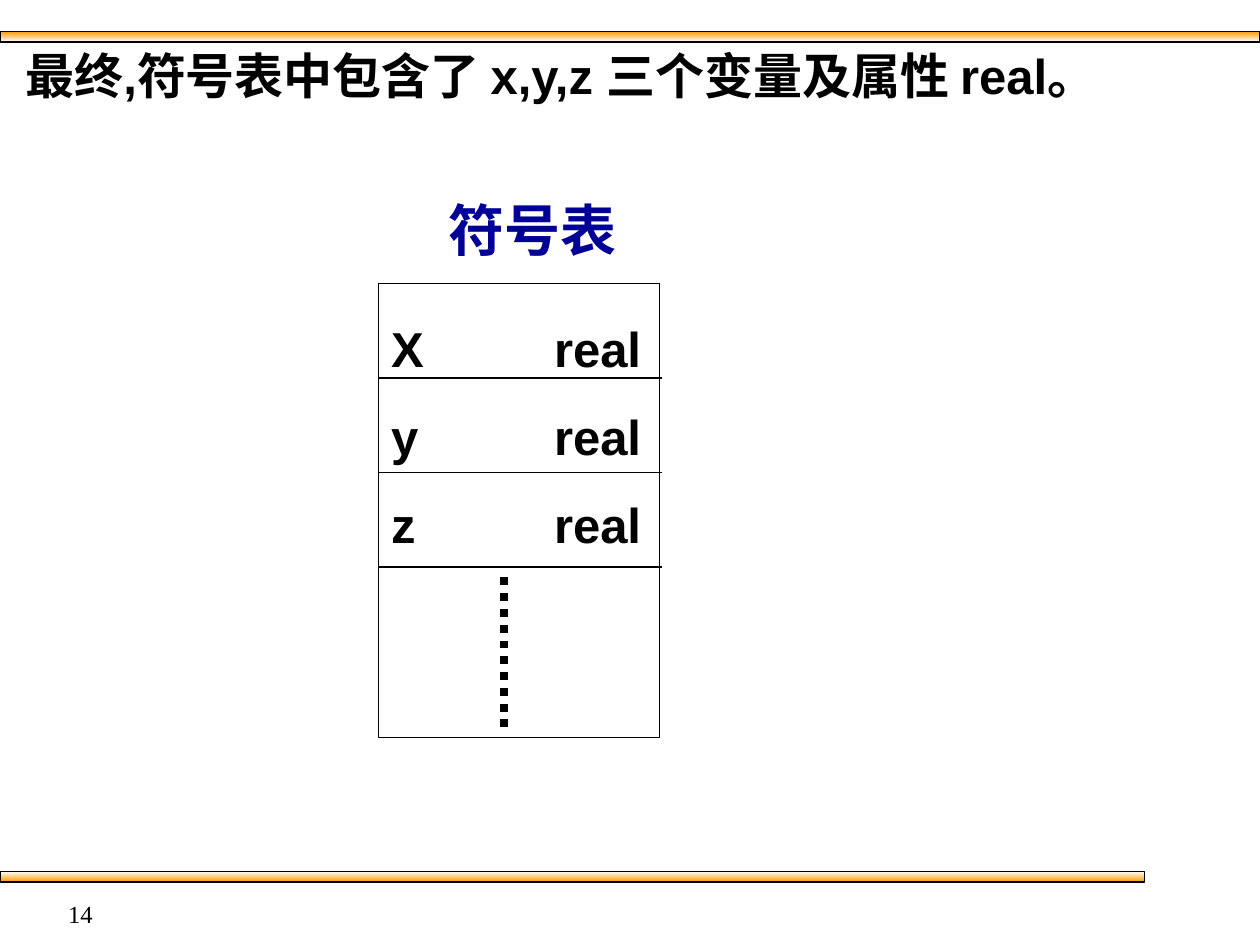
from lxml import etree
from pptx import Presentation
from pptx.dml.color import RGBColor
from pptx.enum.dml import MSO_LINE
from pptx.enum.shapes import MSO_CONNECTOR, MSO_SHAPE
from pptx.enum.text import MSO_ANCHOR, PP_ALIGN
from pptx.oxml.ns import qn
from pptx.util import Pt

RECTANGLE = MSO_SHAPE.RECTANGLE
STRAIGHT = MSO_CONNECTOR.STRAIGHT
DOTTED = MSO_LINE.ROUND_DOT
TOP = MSO_ANCHOR.TOP
LEFT, RIGHT = PP_ALIGN.LEFT, PP_ALIGN.RIGHT

BLACK, BLUE, ORANGE, WHITE = "000000", "000099", "FF9900", "FFFFFF"

TITLE = "最终,符号表中包含了 x,y,z 三个变量及属性 real。"
HEADING = "符号表"
SYMBOLS = [("X", "real"), ("y", "real"), ("z", "real")]
PAGE_NUMBER = "14"
BARS = [(18, 720, ORANGE, WHITE), (498, 654, WHITE, ORANGE)]

TABLE_LEFT, TABLE_TOP, TABLE_WIDTH, TABLE_HEIGHT = 216.5, 162, 160.5, 259.5
RULE_LEFT, RULE_RIGHT, ROW_HEIGHT = 216, 378, 54
TYPE_TAB, SYMBOL_SPACING = 93, 50.3
DOTS_X, DOTS_TOP, DOTS_BOTTOM = 288, 330, 420


def color(value):
    return RGBColor.from_string(value)


def set_outline(shape):
    shape.shadow.inherit = False
    shape.line.color.rgb = color(BLACK)
    shape.line.width = Pt(0.75)


def add_bar(page, top, width, start, end):
    bar = page.shapes.add_shape(RECTANGLE, Pt(0), Pt(top), Pt(width), Pt(6))
    set_outline(bar)
    bar.fill.gradient()
    bar.fill.gradient_angle = 270
    for stop, value in zip(bar.fill.gradient_stops, (start, end)):
        stop.color.rgb = color(value)


def add_span(para, text, size, value=BLACK, name="Arial", bold=True):
    span = para.add_run()
    span.text = text
    span.font.size = Pt(size)
    span.font.name = name
    span.font.bold = bold
    span.font.color.rgb = color(value)


def add_label(page, left, top, width, height, align=LEFT):
    box = page.shapes.add_textbox(Pt(left), Pt(top), Pt(width), Pt(height))
    box.text_frame.word_wrap = True
    para = box.text_frame.paragraphs[0]
    para.alignment = align
    return para


def add_line(page, x1, y1, x2, y2, width=0.75):
    line = page.shapes.add_connector(STRAIGHT, Pt(x1), Pt(y1), Pt(x2), Pt(y2))
    line.line.color.rgb = color(BLACK)
    line.line.width = Pt(width)
    etree.SubElement(line._element.spPr, qn("a:effectLst"))
    return line


def add_tab(para, position):
    tabs = etree.SubElement(para._p.get_or_add_pPr(), qn("a:tabLst"))
    etree.SubElement(tabs, qn("a:tab"), pos=str(Pt(position)), algn="l")


def add_symbol_table(page):
    box = page.shapes.add_shape(RECTANGLE, Pt(TABLE_LEFT), Pt(TABLE_TOP),
                                Pt(TABLE_WIDTH), Pt(TABLE_HEIGHT))
    set_outline(box)
    box.fill.background()
    frame = box.text_frame
    frame.vertical_anchor = TOP
    for index, (name, kind) in enumerate(SYMBOLS):
        para = frame.add_paragraph() if index else frame.paragraphs[0]
        para.alignment = LEFT
        add_tab(para, TYPE_TAB)
        para.line_spacing = Pt(SYMBOL_SPACING)
        add_span(para, f"{name}\t{kind}", 28)
        y = TABLE_TOP + (index + 1) * ROW_HEIGHT
        add_line(page, RULE_LEFT, y, RULE_RIGHT, y)
    dots = add_line(page, DOTS_X, DOTS_TOP, DOTS_X, DOTS_BOTTOM, 4.5)
    dots.line.dash_style = DOTTED


def main():
    deck = Presentation()
    deck.slide_width, deck.slide_height = Pt(720), Pt(540)
    page = deck.slides.add_slide(deck.slide_layouts[6])
    for bar in BARS:
        add_bar(page, *bar)
    add_span(add_label(page, 7.5, 22.3, 705, 41), TITLE, 28)
    add_symbol_table(page)
    add_span(add_label(page, 249, 108, 115, 46), HEADING, 32, BLUE)
    add_span(add_label(page, 0, 510, 60, 18, RIGHT), PAGE_NUMBER, 14,
             name="Times New Roman", bold=False)
    deck.save("out.pptx")


if __name__ == "__main__":
    main()
